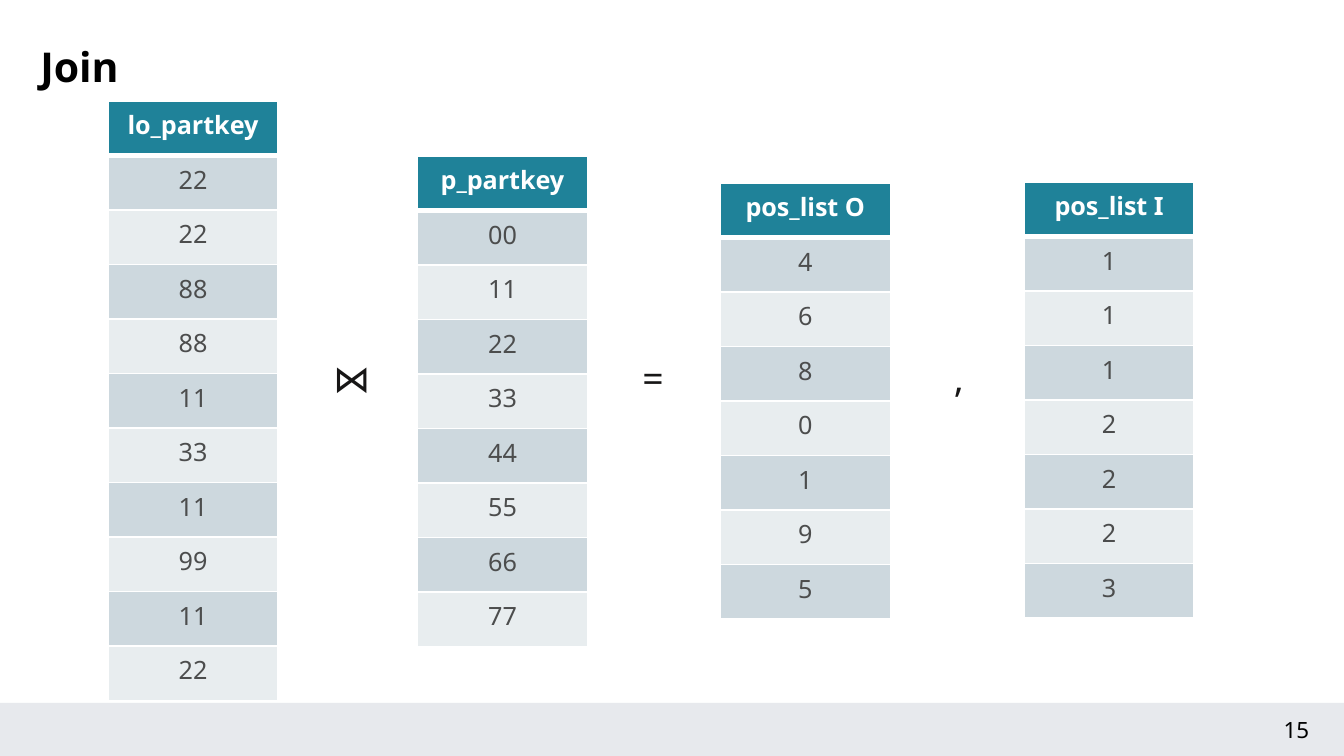
from dataclasses import dataclass

from lxml import etree
from pptx import Presentation
from pptx import util as u
from pptx.dml.color import RGBColor
from pptx.enum import shapes, text
from pptx.oxml import ns

FONT = "Noto Sans"
BLACK = RGBColor(0x00, 0x00, 0x00)
WHITE = RGBColor(0xFF, 0xFF, 0xFF)
TEAL = RGBColor(0x1F, 0x82, 0x99)
DARK = RGBColor(0xCD, 0xD8, 0xDE)
LIGHT = RGBColor(0xE8, 0xED, 0xEF)
GRAY = RGBColor(0x4C, 0x4D, 0x4D)
INK = RGBColor(0x17, 0x16, 0x16)
BAND = RGBColor(0xE7, 0xE9, 0xED)

WIDE, HIGH = 720, 405
COL, ROW = 91.2, 29.2


@dataclass
class Column:
    left: float
    top: float
    head: str
    keys: list[str]


@dataclass
class Sign:
    left: float
    width: float
    mark: str


COLUMNS = [
    Column(57.8, 54.2, "lo_partkey", "22 22 88 88 11 33 11 99 11 22".split()),
    Column(223.6, 83.6, "p_partkey", "00 11 22 33 44 55 66 77".split()),
    Column(548.6, 97.6, "pos_list I", "1 1 1 2 2 2 3".split()),
    Column(385.8, 98.1, "pos_list O", "4 6 8 0 1 9 5".split()),
]
SIGNS = [Sign(171.4, 30.2, "⋈"), Sign(337, 26.6, "="), Sign(504, 17.3, ",")]


def write(frame, words: str, size: float, color: RGBColor,
          bold: bool = False, align=text.PP_ALIGN.LEFT):
    para = frame.paragraphs[0]
    para.alignment = align
    run = para.add_run()
    run.text = words
    font = run.font
    font.name, font.size, font.bold = FONT, u.Pt(size), bold
    font.color.rgb = color
    return para


def edge(cell, side: str, width: float) -> None:
    """Add one white border; call before the cell is filled."""
    props = cell._tc.get_or_add_tcPr()
    line = etree.SubElement(props, ns.qn(f"a:ln{side}"), w=str(u.Pt(width)))
    fill = etree.SubElement(line, ns.qn("a:solidFill"))
    etree.SubElement(fill, ns.qn("a:srgbClr"), val=str(WHITE))


def draw_column(slide, col: Column) -> None:
    items = [col.head, *col.keys]
    table = slide.shapes.add_table(
        len(items), 1, u.Pt(col.left), u.Pt(col.top),
        u.Pt(COL), u.Pt(ROW * len(items))).table
    for i, item in enumerate(items):
        head = i == 0
        table.rows[i].height = u.Pt(ROW)
        cell = table.cell(i, 0)
        for side in "LRTB":
            thick = (head and side == "B") or (i == 1 and side == "T")
            edge(cell, side, 3 if thick else 1)
        cell.fill.solid()
        cell.fill.fore_color.rgb = TEAL if head else DARK if i % 2 else LIGHT
        write(cell.text_frame, item, 13.5, WHITE if head else GRAY,
              head, text.PP_ALIGN.CENTER)


def draw_sign(slide, sign: Sign) -> None:
    box = slide.shapes.add_textbox(
        u.Pt(sign.left), u.Pt(186.5), u.Pt(sign.width), u.Pt(31.7))
    box.text_frame.word_wrap = False
    write(box.text_frame, sign.mark, 20, INK)


def draw_footer(slide) -> None:
    bar = slide.shapes.add_shape(
        shapes.MSO_SHAPE.RECTANGLE, 0, u.Pt(376.6), u.Pt(WIDE), u.Pt(28.4))
    bar.shadow.inherit = False
    bar.fill.solid()
    bar.fill.fore_color.rgb = BAND
    bar.line.fill.background()
    box = slide.shapes.add_textbox(
        u.Pt(673.2), u.Pt(380), u.Pt(42.5), u.Pt(21.8))
    box.text_frame.word_wrap = True
    write(box.text_frame, "15", 12, BLACK, align=text.PP_ALIGN.CENTER)


def draw_title(slide) -> None:
    title = slide.shapes.title
    title.left, title.top = u.Pt(14.4), u.Pt(20.2)
    title.width, title.height = u.Pt(510.5), u.Pt(33.8)
    title.text_frame.vertical_anchor = text.MSO_ANCHOR.MIDDLE
    write(title.text_frame, "Join", 22, BLACK, True).line_spacing = 0.9


def main() -> None:
    deck = Presentation()
    deck.slide_width, deck.slide_height = u.Pt(WIDE), u.Pt(HIGH)
    slide = deck.slides.add_slide(deck.slide_layouts[5])
    draw_footer(slide)
    draw_title(slide)
    for col in COLUMNS:
        draw_column(slide, col)
    for sign in SIGNS:
        draw_sign(slide, sign)
    deck.save("out.pptx")


if __name__ == "__main__":
    main()
